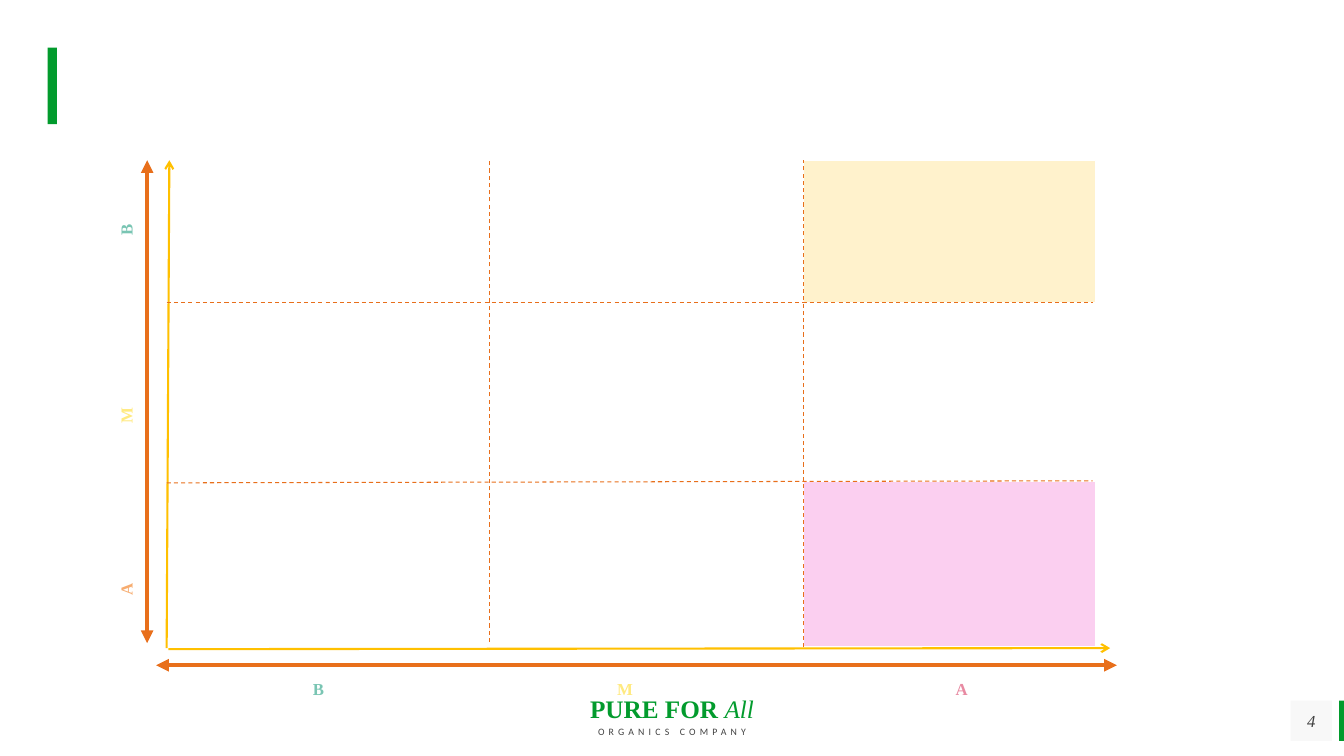
"""Draw a three by three rating matrix, with lengths in percent of the slide's size."""
from typing import NamedTuple

from lxml import etree
from pptx import Presentation
from pptx.dml.color import RGBColor
from pptx.enum.dml import MSO_LINE
from pptx.enum.shapes import MSO_CONNECTOR, MSO_SHAPE
from pptx.enum.text import MSO_ANCHOR, MSO_AUTO_SIZE, PP_ALIGN
from pptx.oxml.ns import qn
from pptx.util import Inches, Pt

RECT = MSO_SHAPE.RECTANGLE
LINE = MSO_CONNECTOR.STRAIGHT
DASH = MSO_LINE.DASH
MID = MSO_ANCHOR.MIDDLE
GROW = MSO_AUTO_SIZE.SHAPE_TO_FIT_TEXT
CENTER = PP_ALIGN.CENTER
GREEN = RGBColor(0x02, 0x9B, 0x2D)
GRAY = RGBColor(0x40, 0x40, 0x40)
PALE = RGBColor(0xF2, 0xF2, 0xF2)
WHITE = RGBColor(0xFF, 0xFF, 0xFF)
PINK = RGBColor(0xFB, 0xCF, 0xF0)
CREAM = RGBColor(0xFF, 0xF2, 0xCC)
GOLD = RGBColor(0xFF, 0xC0, 0x00)
ORANGE = RGBColor(0xE8, 0x6F, 0x1B)
ROSE = RGBColor(0xE8, 0x8A, 0xA2)
LEMON = RGBColor(0xFF, 0xEA, 0x80)
MINT = RGBColor(0x79, 0xC5, 0xB3)
PEACH = RGBColor(0xF7, 0xAC, 0x6F)
SERIF = "Times New Roman"
SANS = "Calibri"
WIDTH, HEIGHT = Inches(13.33), Inches(7.5)
COLS = (12.4, 36.4, 59.8, 81.5)
ROWS = (21.2, 40, 63.7, 85.6)


class Box(NamedTuple):
    left: float
    top: float
    width: float
    height: float


class Block(NamedTuple):
    box: Box
    fill: RGBColor
    edge: RGBColor | None = None


class Rule(NamedTuple):
    start: tuple[float, float]
    end: tuple[float, float]
    color: RGBColor
    width: float
    head: str = ""
    tail: str = ""
    dash: bool = False


class Label(NamedTuple):
    text: str
    left: float
    top: float
    color: RGBColor
    turn: int = 0


BLOCKS = (
    Block(Box(99.63, 92.67, 0.37, 5.33), GREEN),
    Block(Box(3.55, 6.3, 0.68, 10.13), GREEN),
    Block(Box(COLS[2], ROWS[2], COLS[3] - COLS[2], ROWS[3] - ROWS[2]), PINK, WHITE),
    Block(Box(COLS[2], ROWS[0], COLS[3] - COLS[2], ROWS[1] - ROWS[0]), CREAM, WHITE),
)
RULES = (
    Rule((12.53, 85.87), (82.6, 85.73), GOLD, 1.5, tail="arrow"),
    Rule((12.6, ROWS[0]), (COLS[0], 85.73), GOLD, 1.5, head="arrow"),
    Rule((COLS[1], 84.93), (COLS[1], ROWS[0]), ORANGE, 0.75, dash=True),
    Rule((COLS[2], ROWS[3]), (COLS[2], ROWS[0]), ORANGE, 0.75, dash=True),
    Rule((COLS[0], ROWS[1]), (81.3, ROWS[1]), ORANGE, 0.75, dash=True),
    Rule((COLS[0], 63.87), (81.3, 63.6), ORANGE, 0.75, dash=True),
    Rule((83.1, 88), (11.62, 88), ORANGE, 3, "triangle", "triangle"),
    Rule((10.95, ROWS[0]), (10.95, 85.07), ORANGE, 3, "triangle", "triangle"),
)
LABELS = (
    Label("A", 69, 89.07, ROSE),
    Label("M", 43.95, 89.07, LEMON),
    Label("B", 21.15, 89.07, MINT),
    Label("B", 6.83, 28.4, MINT, 270),
    Label("M", 6.83, 52.93, LEMON, 270),
    Label("A", 6.83, 76, PEACH, 270),
)


def across(share: float) -> int:
    """Turn a percentage of the slide's width into a length."""
    return round(WIDTH * share / 100)


def down(share: float) -> int:
    """Turn a percentage of the slide's height into a length."""
    return round(HEIGHT * share / 100)


def place(box: Box) -> tuple[int, int, int, int]:
    """Turn a box of shares into slide lengths."""
    return across(box.left), down(box.top), across(box.width), down(box.height)


def write(para, text: str, *, size: float = 12, font: str = SERIF, color: RGBColor = GRAY,
          bold: bool = False, italic: bool = False, gap: int = 0) -> None:
    """Add one formatted run to a centred paragraph."""
    para.alignment = CENTER
    run = para.add_run()
    run.text = text
    run.font.size = Pt(size)
    run.font.name = font
    run.font.bold = bold
    run.font.italic = italic
    run.font.color.rgb = color
    if gap:
        run._r.get_or_add_rPr().set("spc", str(gap * 100))


def add_block(slide, block: Block):
    """Draw a filled rectangle."""
    shape = slide.shapes.add_shape(RECT, *place(block.box))
    shape.shadow.inherit = False
    shape.fill.solid()
    shape.fill.fore_color.rgb = block.fill
    if block.edge is None:
        shape.line.fill.background()
    else:
        shape.line.color.rgb = block.edge
        shape.line.width = Pt(1)
    return shape


def add_rule(slide, rule: Rule) -> None:
    """Draw a line with optional dashes and arrowheads."""
    (left, top), (right, base) = rule.start, rule.end
    line = slide.shapes.add_connector(LINE, across(left), down(top), across(right), down(base))
    line.line.color.rgb = rule.color
    line.line.width = Pt(rule.width)
    if rule.dash:
        line.line.dash_style = DASH
    props = line._element.spPr
    for tag, kind in (("a:headEnd", rule.head), ("a:tailEnd", rule.tail)):
        if kind:
            etree.SubElement(props.find(qn("a:ln")), qn(tag), type=kind)
    etree.SubElement(props, qn("a:effectLst"))


def add_text(slide, box: Box):
    """Add a wrapping text box that fits its text."""
    shape = slide.shapes.add_textbox(*place(box))
    shape.text_frame.word_wrap = True
    shape.text_frame.auto_size = GROW
    return shape


def add_label(slide, label: Label) -> None:
    """Draw one axis label."""
    shape = add_text(slide, Box(label.left, label.top, 5.1, 4))
    shape.rotation = label.turn
    write(shape.text_frame.paragraphs[0], label.text, color=label.color, bold=True)


def add_brand(slide) -> None:
    """Write the company name at the foot."""
    frame = add_text(slide, Box(42.16, 92.27, 15.68, 5.87)).text_frame
    frame.margin_top = Inches(0.12)
    para = frame.paragraphs[0]
    para.line_spacing = Pt(10)
    write(para, "PURE FOR ", size=18, color=GREEN, bold=True)
    write(para, "All", size=18, color=GREEN, italic=True)
    para.add_line_break()
    write(para, "ORGANICS COMPANY", size=7, font=SANS, gap=3)


def add_page(slide) -> None:
    """Draw the half-clear page number box."""
    shape = add_block(slide, Block(Box(96.02, 92.67, 3.08, 5.33), PALE))
    tint = shape._element.spPr.find(qn("a:solidFill"))[0]
    etree.SubElement(tint, qn("a:alpha"), val="50000")
    frame = shape.text_frame
    frame.margin_left = frame.margin_right = frame.margin_top = frame.margin_bottom = 0
    frame.vertical_anchor = MID
    write(frame.paragraphs[0], "4", italic=True)


def main() -> None:
    """Build and save the slide."""
    deck = Presentation()
    deck.slide_width, deck.slide_height = WIDTH, HEIGHT
    slide = deck.slides.add_slide(deck.slide_layouts[6])
    add_brand(slide)
    add_page(slide)
    for draw, items in ((add_block, BLOCKS), (add_rule, RULES), (add_label, LABELS)):
        for item in items:
            draw(slide, item)
    deck.save("out.pptx")


if __name__ == "__main__":
    main()
